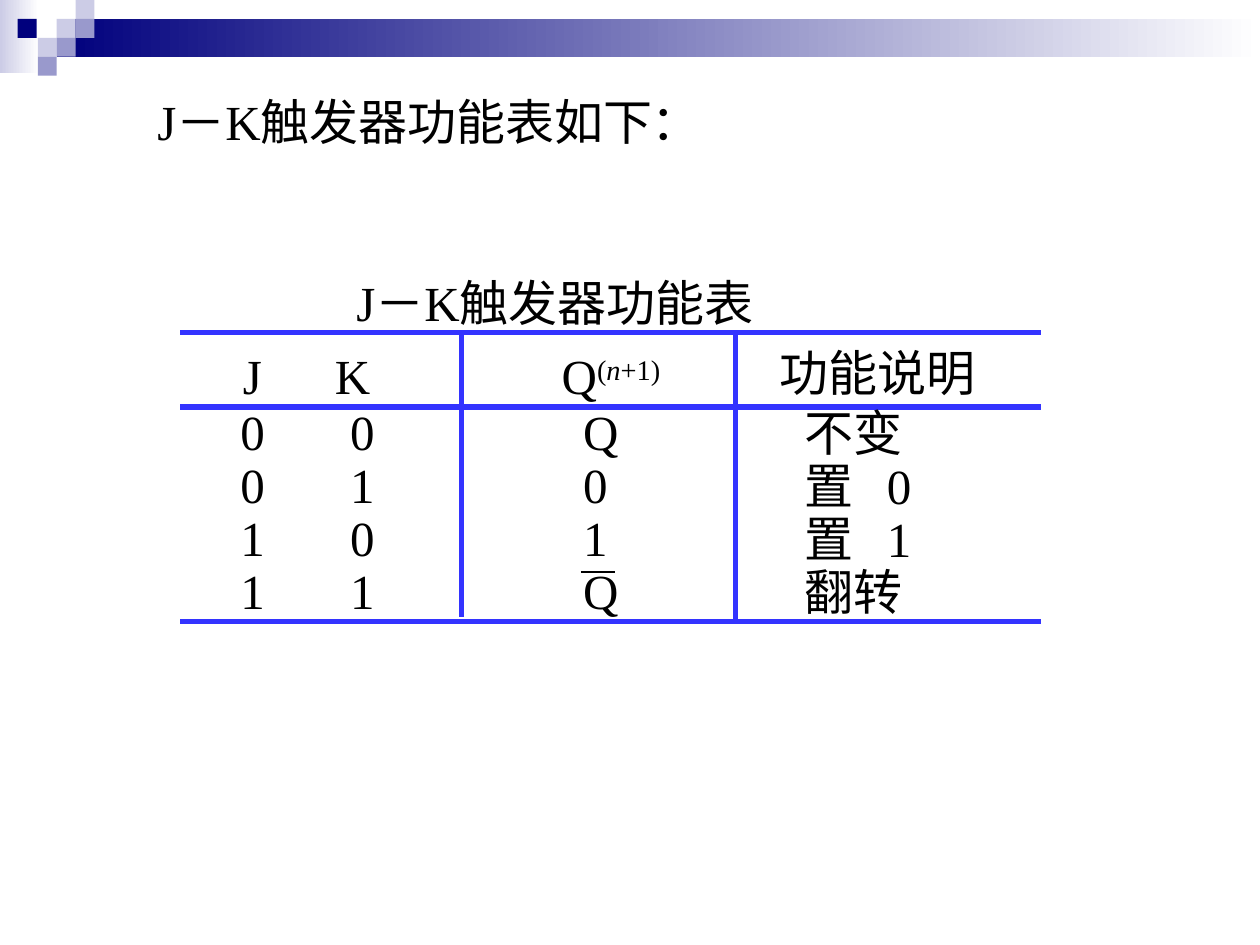
from lxml import etree
from pptx import Presentation
from pptx import util as u
from pptx.dml.color import RGBColor
from pptx.enum import shapes, text
from pptx.oxml import ns

PX = 9144
NAVY = RGBColor(0x00, 0x00, 0x7D)
MID = RGBColor(0x99, 0x99, 0xCC)
PALE = RGBColor(0xCC, 0xCC, 0xE6)
WHITE = RGBColor(0xFF, 0xFF, 0xFF)
BLUE = RGBColor(0x33, 0x33, 0xFF)
BLACK = RGBColor(0x00, 0x00, 0x00)
CELL = 15


def scale(*sizes):
    """Turn px lengths into EMU."""
    return [u.Emu(size * PX) for size in sizes]


def block(slide, box, *tints):
    """Draw a rectangle with a plain fill, or a fade between two tints."""
    shape = slide.shapes.add_shape(shapes.MSO_SHAPE.RECTANGLE, *scale(*box))
    shape.shadow.inherit = False
    shape.line.fill.background()
    if len(tints) == 1:
        shape.fill.solid()
        shape.fill.fore_color.rgb = tints[0]
        return
    shape.fill.gradient()
    shape.fill.gradient_angle = 0
    for stop, tint in zip(shape.fill.gradient_stops, tints):
        stop.color.rgb = tint


def rule(slide, ends, tint=BLUE, width=3):
    """Draw a straight line without a shadow."""
    line = slide.shapes.add_connector(shapes.MSO_CONNECTOR.STRAIGHT, *scale(*ends))
    line.line.color.rgb = tint
    line.line.width = u.Pt(width)
    etree.SubElement(line._element.spPr, ns.qn("a:effectLst"))


def add_tab(para, place):
    """Set one left tab stop on a paragraph."""
    tabs = etree.SubElement(para._p.get_or_add_pPr(), ns.qn("a:tabLst"))
    etree.SubElement(tabs, ns.qn("a:tab"), pos=str(place * PX), algn="l")


def add_run(para, words, raised=False, italic=False):
    """Add one run in the slide's type."""
    run = para.add_run()
    run.text = words
    font = run.font
    font.name, font.size, font.color.rgb = "Times New Roman", u.Pt(28), BLACK
    if italic:
        font.italic = True
    if raised:
        run._r.get_or_add_rPr().set("baseline", "30000")


def label(slide, box, lines, space=None, tab=None):
    """Add a text box whose lines are lists of runs; tabbed ones wrap."""
    frame = slide.shapes.add_textbox(*scale(*box)).text_frame
    frame.word_wrap = tab is not None
    frame.auto_size = text.MSO_AUTO_SIZE.SHAPE_TO_FIT_TEXT
    for index, runs in enumerate(lines):
        para = frame.add_paragraph() if index else frame.paragraphs[0]
        if space:
            para.line_spacing = space
        if tab:
            add_tab(para, tab)
        for run in runs:
            add_run(para, *run)


def banner(slide):
    """Draw the faded bars and the squares at the top."""
    block(slide, (0, 0, 31, 58), PALE, WHITE)
    block(slide, (45, 15, 955, 30), NAVY, WHITE)
    squares = [(3, 1, PALE), (4, 0, PALE), (4, 1, MID), (2, 2, PALE),
               (3, 2, MID), (2, 3, MID)]
    for col, row, tint in squares:
        block(slide, (col * CELL, row * CELL, CELL, CELL), tint)
    block(slide, (14, 15, CELL, CELL), NAVY)


def grid(slide):
    """Draw the rules of the function table."""
    for top in (264, 323, 493):
        rule(slide, (143, top, 826, top))
    for left, top, foot in ((366, 265, 490), (584, 263, 494)):
        rule(slide, (left, top, left, foot))


def entries(slide):
    """Write the heads and the body columns of the function table."""
    power = [("Q",), ("(", True), ("n", True, True), ("+1)", True)]
    label(slide, (183, 265, 132, 62), [[("J\tK",)]], 1.1, 73)
    label(slide, (436, 265, 98, 62), [power], 1.1)
    label(slide, (609, 262, 175, 62), [[("功能说明",)]], 1.1)
    columns = [
        ((181, 319, 134, 178), ("0\t0", "0\t1", "1\t0", "1\t1"), 87),
        ((453, 319, 58, 178), ("Q", "0", "1", "Q"), None),
        ((629, 320, 114, 178), ("不变", "置\t0", "置\t1", "翻转"), 65),
    ]
    for box, words, tab in columns:
        label(slide, box, [[(word,)] for word in words], 0.9, tab)
    rule(slide, (461, 454, 488, 454), BLACK, 1.5)


def main():
    """Build the slide and save it."""
    deck = Presentation()
    deck.slide_width, deck.slide_height = scale(1000, 750)
    slide = deck.slides.add_slide(deck.slide_layouts[6])
    banner(slide)
    label(slide, (115, 68, 479, 57), [[("J－K触发器功能表如下：",)]])
    label(slide, (273, 211, 363, 57), [[("J－K触发器功能表",)]])
    grid(slide)
    entries(slide)
    deck.save("out.pptx")


if __name__ == "__main__":
    main()
